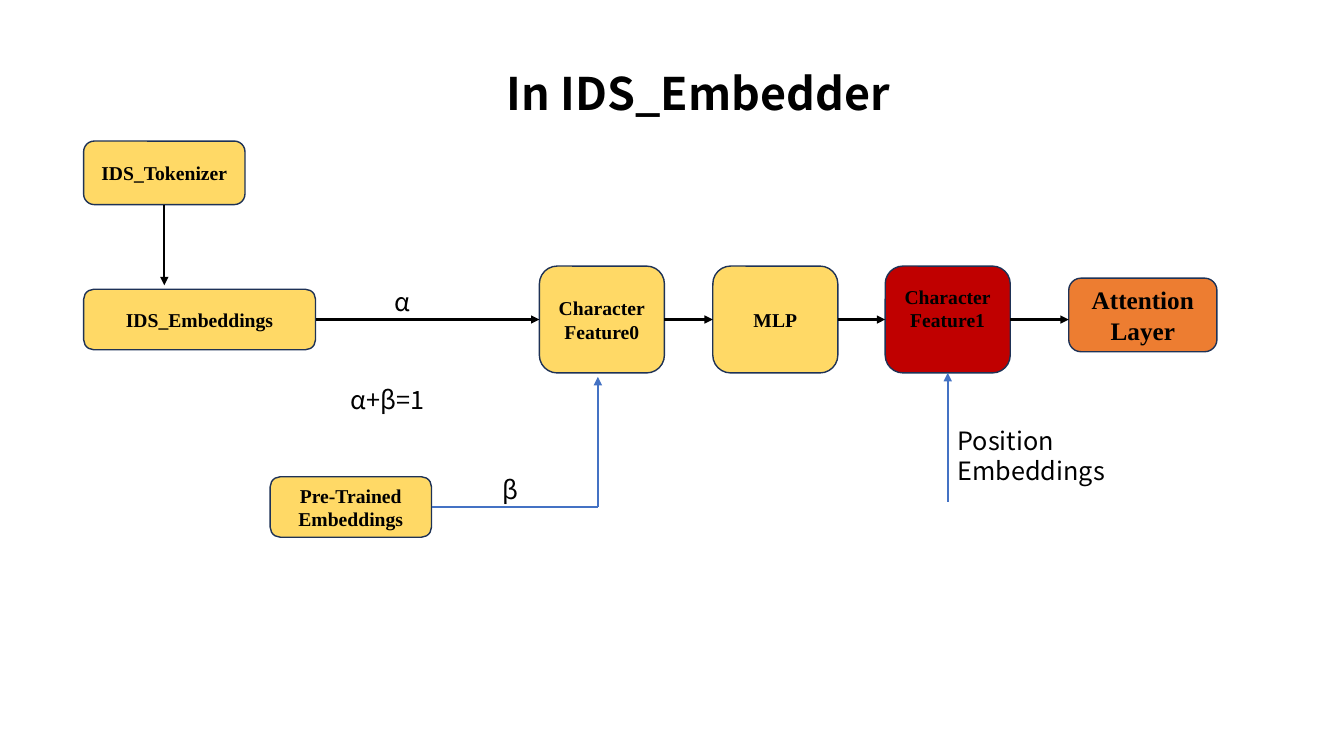
"""Build the IDS_Embedder flow slide."""
import dataclasses
import typing

import lxml.etree
import pptx
import pptx.dml.color
import pptx.enum.shapes
import pptx.enum.text
import pptx.oxml.ns
import pptx.util

PX = 9144
TOP, LEFT, BOTTOM, RIGHT = range(4)
INK = {"black": "000000", "gold": "FFD966", "red": "C00000",
       "orange": "ED7D31", "navy": "1E3256", "blue": "4472C4"}
SERIF, SANS = "Times New Roman", "Noto Sans CJK SC"


@dataclasses.dataclass
class Box:
    key: str
    text: str
    x: int
    y: int
    w: int
    h: int
    fill: str = "gold"
    size: int = 14
    foot: int = 5


@dataclasses.dataclass
class Label:
    text: str
    x: int
    y: int
    w: int
    h: int = 40
    size: int = 18
    bold: bool = False


@dataclasses.dataclass
class Arrow:
    x1: int
    y1: int
    x2: int
    y2: int
    start: typing.Optional[tuple[str, int]] = None
    end: typing.Optional[tuple[str, int]] = None
    ink: str = "black"
    head: bool = True


BOXES = [
    Box("embed", "IDS_Embeddings", 83, 287, 230, 60),
    Box("train", "Pre-Trained Embeddings", 268, 473, 160, 60),
    Box("zero", "Character\vFeature0", 535, 264, 124, 106),
    Box("mlp", "MLP", 707, 264, 124, 106),
    Box("one", "Character\nFeature1", 878, 264, 124, 106, "red", foot=27),
    Box("layer", "Attention Layer", 1060, 276, 147, 73, "orange", 18),
    Box("token", "IDS_Tokenizer", 83, 140, 160, 63),
]
LABELS = [
    Label("α", 381, 276, 47),
    Label("β", 489, 463, 47),
    Label("α+β=1", 338, 374, 134),
    Label("Position Embeddings", 940, 414, 230),
    Label("In IDS_Embedder", 493, 58, 444, 64, 32, True),
]
ARROWS = [
    Arrow(313, 317, 535, 317, ("embed", RIGHT), ("zero", LEFT)),
    Arrow(659, 317, 707, 317, ("zero", RIGHT), ("mlp", LEFT)),
    Arrow(831, 317, 878, 317, ("mlp", RIGHT), ("one", LEFT)),
    Arrow(1002, 317, 1060, 317, ("one", RIGHT)),
    Arrow(163, 203, 163, 283, ("token", BOTTOM)),
    Arrow(428, 503, 593, 503, ("train", RIGHT), ink="blue", head=False),
    Arrow(593, 503, 593, 374, ink="blue"),
    Arrow(940, 498, 940, 370, end=("one", BOTTOM), ink="blue"),
]


def tint(name: str) -> pptx.dml.color.RGBColor:
    return pptx.dml.color.RGBColor.from_string(INK[name])


def style(frame, face: str, size: int, bold: bool) -> None:
    for para in frame.paragraphs:
        for run in para.runs:
            run.font.name = face
            run.font.size = pptx.util.Pt(size)
            run.font.bold = bold
            run.font.color.rgb = tint("black")
            for tag in ("a:ea", "a:cs"):
                kind = lxml.etree.SubElement(run.font._element, pptx.oxml.ns.qn(tag))
                kind.set("typeface", face)


def draw_box(slide, box: Box):
    shape = slide.shapes.add_shape(
        pptx.enum.shapes.MSO_SHAPE.FLOWCHART_ALTERNATE_PROCESS,
        box.x * PX, box.y * PX, box.w * PX, box.h * PX)
    shape.shadow.inherit = False
    shape.fill.solid()
    shape.fill.fore_color.rgb = tint(box.fill)
    shape.line.color.rgb = tint("navy")
    shape.line.width = pptx.util.Pt(1)
    frame = shape.text_frame
    frame.text = box.text
    frame.word_wrap = True
    frame.vertical_anchor = pptx.enum.text.MSO_ANCHOR.MIDDLE
    frame.margin_bottom = box.foot * PX
    for para in frame.paragraphs:
        para.alignment = pptx.enum.text.PP_ALIGN.CENTER
    style(frame, SERIF, box.size, True)
    return shape


def draw_label(slide, label: Label) -> None:
    shape = slide.shapes.add_textbox(
        label.x * PX, label.y * PX, label.w * PX, label.h * PX)
    frame = shape.text_frame
    frame.text = label.text
    frame.word_wrap = True
    frame.margin_top = 8 * PX
    frame.paragraphs[0].line_spacing = pptx.util.Pt(round(label.size * 1.19, 1))
    style(frame, SANS, label.size, label.bold)


def draw_arrow(slide, arrow: Arrow, nodes: dict) -> None:
    link = slide.shapes.add_connector(
        pptx.enum.shapes.MSO_CONNECTOR.STRAIGHT,
        arrow.x1 * PX, arrow.y1 * PX, arrow.x2 * PX, arrow.y2 * PX)
    if arrow.start:
        link.begin_connect(nodes[arrow.start[0]], arrow.start[1])
    if arrow.end:
        link.end_connect(nodes[arrow.end[0]], arrow.end[1])
    link.line.color.rgb = tint(arrow.ink)
    link.line.width = pptx.util.Pt(1.5)
    if arrow.head:
        tail = lxml.etree.SubElement(link.line._get_or_add_ln(), pptx.oxml.ns.qn("a:tailEnd"))
        tail.set("type", "triangle")
    lxml.etree.SubElement(link._element.spPr, pptx.oxml.ns.qn("a:effectLst"))


def main() -> None:
    deck = pptx.Presentation()
    deck.slide_width = 1333 * PX
    deck.slide_height = 750 * PX
    slide = deck.slides.add_slide(deck.slide_layouts[6])
    nodes = {box.key: draw_box(slide, box) for box in BOXES}
    for arrow in ARROWS:
        draw_arrow(slide, arrow, nodes)
    for label in LABELS:
        draw_label(slide, label)
    deck.save("out.pptx")


if __name__ == "__main__":
    main()
